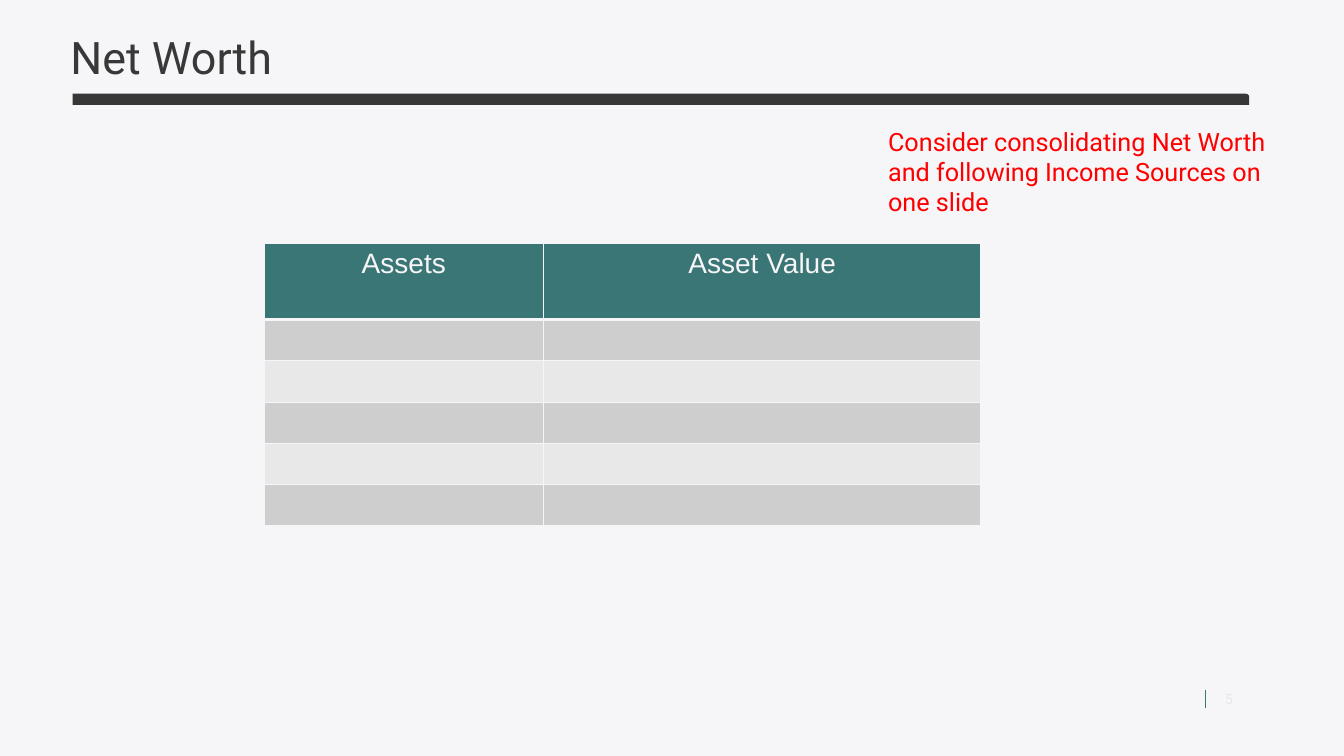
from pptx import Presentation
from pptx.dml.color import RGBColor
from pptx.enum.shapes import MSO_CONNECTOR, MSO_SHAPE
from pptx.enum.text import MSO_ANCHOR, PP_ALIGN
from pptx.oxml.ns import qn
from pptx.util import Inches, Pt
from lxml.etree import SubElement

PAPER = RGBColor(0xF6, 0xF5, 0xF7)
TEAL = RGBColor(0x3B, 0x76, 0x76)
CHARCOAL = RGBColor(0x38, 0x38, 0x38)
BLACK = RGBColor(0x0C, 0x0C, 0x0C)
RED = RGBColor(0xFF, 0x00, 0x00)
DARK_BAND = RGBColor(0xCE, 0xCE, 0xCE)
LIGHT_BAND = RGBColor(0xE8, 0xE8, 0xE8)


def write(tf, text, size, color, font="Roboto", align=PP_ALIGN.LEFT,
          anchor=MSO_ANCHOR.TOP, spacing=None):
    tf.word_wrap = True
    tf.vertical_anchor = anchor
    p = tf.paragraphs[0]
    p.alignment = align
    p.line_spacing = spacing
    r = p.add_run()
    r.text = text
    r.font.size = Pt(size)
    r.font.name = font
    r.font.color.rgb = color


def set_borders(cell, color, bottom):
    """Draw 1 pt cell borders, with the bottom one at its own width."""
    tcPr = cell._tc.get_or_add_tcPr()
    widths = {"a:lnL": 1, "a:lnR": 1, "a:lnT": 1, "a:lnB": bottom}
    for i, (tag, width) in enumerate(widths.items()):
        ln = SubElement(tcPr, qn(tag), w=str(Pt(width)))
        SubElement(SubElement(ln, qn("a:solidFill")), qn("a:srgbClr"), val=str(color))
        tcPr.insert(i, ln)


prs = Presentation()
prs.slide_width = Inches(13.33)
prs.slide_height = Inches(7.5)
s = prs.slides.add_slide(prs.slide_layouts[6])
s.background.fill.solid()
s.background.fill.fore_color.rgb = PAPER

# Slide number and its divider
divider = s.shapes.add_connector(MSO_CONNECTOR.STRAIGHT, Inches(11.95), Inches(6.85),
                                 Inches(11.95), Inches(7.02))
divider.line.color.rgb = TEAL
divider.line.width = Pt(0.5)
SubElement(divider._element.spPr, qn("a:effectLst"))
number = s.shapes.add_textbox(Inches(11.99), Inches(6.78), Inches(0.4), Inches(0.3))
write(number.text_frame, "5", 10, LIGHT_BAND, align=PP_ALIGN.CENTER,
      anchor=MSO_ANCHOR.MIDDLE)

# Title and bar
title = s.shapes.add_textbox(Inches(0.6), Inches(0.32), Inches(11.5), Inches(0.61))
write(title.text_frame, "Net Worth", 32, CHARCOAL, anchor=MSO_ANCHOR.MIDDLE, spacing=0.7)
bar = s.shapes.add_shape(MSO_SHAPE.ROUND_1_RECTANGLE, Inches(0.72), Inches(0.93),
                         Inches(11.67), Inches(0.11))
bar.adjustments[0] = 0.3
bar.shadow.inherit = False
bar.fill.solid()
bar.fill.fore_color.rgb = BLACK
SubElement(bar.fill._xPr.find(qn("a:solidFill"))[0], qn("a:alpha"), val="81000")
bar.line.fill.background()

# Comment on the slide
note = s.shapes.add_textbox(Inches(8.71), Inches(1.2), Inches(4.02), Inches(1.01))
write(note.text_frame,
      "Consider consolidating Net Worth and following Income Sources on one slide", 18, RED)

# Asset table
HEADERS = ["Assets", "Asset Value"]
COL_WIDTHS = [2.77, 4.34]
ROW_HEIGHTS = [0.76] + [0.41] * 5
table = s.shapes.add_table(len(ROW_HEIGHTS), len(HEADERS), Inches(2.62), Inches(2.41),
                           Inches(sum(COL_WIDTHS)), Inches(sum(ROW_HEIGHTS))).table
for col, width in zip(table.columns, COL_WIDTHS):
    col.width = Inches(width)
for i, height in enumerate(ROW_HEIGHTS):
    table.rows[i].height = Inches(height)
    for j, header in enumerate(HEADERS):
        cell = table.cell(i, j)
        cell.fill.solid()
        if i == 0:
            cell.fill.fore_color.rgb = TEAL
            write(cell.text_frame, header, 20, PAPER, font="Arial", align=PP_ALIGN.CENTER)
        else:
            cell.fill.fore_color.rgb = DARK_BAND if i % 2 else LIGHT_BAND
        set_borders(cell, PAPER, bottom=3 if i == 0 else 1)

prs.save("out.pptx")
